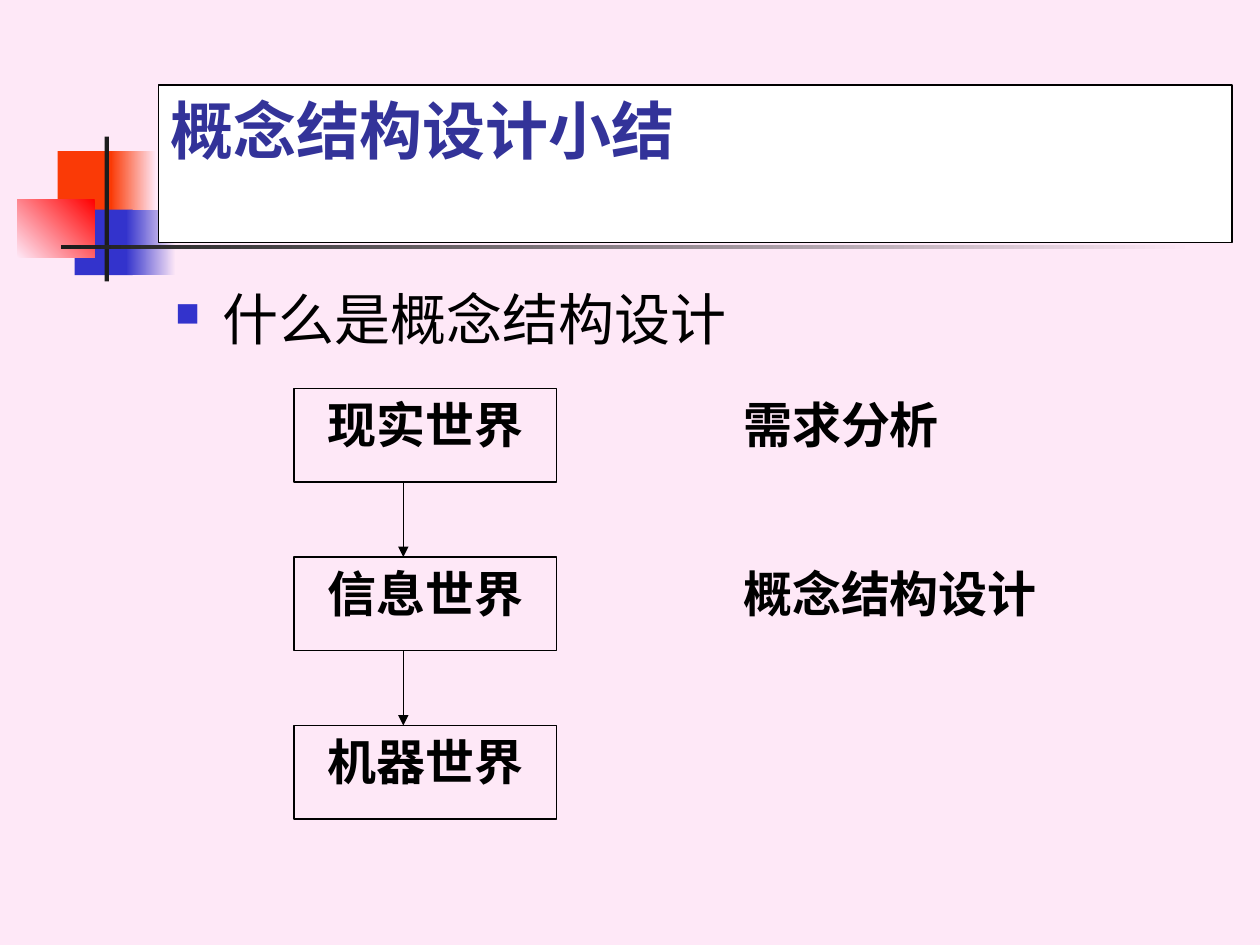
"""Build the slide that sums up conceptual structure design."""
from lxml import etree
from pptx import Presentation
from pptx.dml.color import RGBColor
from pptx.enum.shapes import MSO_CONNECTOR as CONN, MSO_SHAPE as SHAPE
from pptx.enum.text import MSO_ANCHOR as ANCHOR, PP_ALIGN as ALIGN
from pptx.oxml.ns import qn
from pptx.util import Pt

PINK = RGBColor(0xFE, 0xE8, 0xF7)
ORANGE = RGBColor(0xFA, 0x3A, 0x06)
BLUE = RGBColor(0x33, 0x33, 0xCC)
RED = RGBColor(0xFF, 0x00, 0x00)
DARK = RGBColor(0x1C, 0x1C, 0x1C)
NAVY = RGBColor(0x33, 0x33, 0x99)
BLACK = RGBColor(0x00, 0x00, 0x00)
WHITE = RGBColor(0xFF, 0xFF, 0xFF)

TITLE = {"name": "Roboto", "size": Pt(36), "bold": True}
BODY = {"name": "Roboto", "size": Pt(32), "bold": False}
LABEL = {"name": "Times New Roman", "size": Pt(28), "bold": True}

prs = Presentation()
prs.slide_width, prs.slide_height = Pt(720), Pt(540)
s = prs.slides.add_slide(prs.slide_layouts[6])
s.background.fill.solid()
s.background.fill.fore_color.rgb = PINK


def add_rect(x, y, w, h, fill=None, line=None):
    sp = s.shapes.add_shape(SHAPE.RECTANGLE, Pt(x), Pt(y), Pt(w), Pt(h))
    sp.shadow.inherit = False
    if fill is None:
        sp.fill.background()
    else:
        sp.fill.solid()
        sp.fill.fore_color.rgb = fill
    if line is None:
        sp.line.fill.background()
    else:
        sp.line.color.rgb = line
        sp.line.width = Pt(0.75)
    return sp


def add_text(sp, text, fmt, color, align):
    tf = sp.text_frame
    tf.word_wrap = True
    tf.vertical_anchor = ANCHOR.TOP
    p = tf.paragraphs[0]
    p.alignment = align
    r = p.add_run()
    r.text = text
    for key, value in fmt.items():
        setattr(r.font, key, value)
    r.font.color.rgb = color
    return p


for x, y, w, h, start, end, angle in [
    (33, 86.4, 34.6, 37.4, ORANGE, ORANGE, None),
    (63.2, 86.4, 26, 37.4, PINK, ORANGE, 180),
    (42.6, 119.8, 33.2, 37.4, BLUE, BLUE, None),
    (72, 119.8, 28.5, 37.4, PINK, BLUE, 180),
    (9.8, 113.8, 44.4, 33.5, RED, PINK, 225),
    (59.8, 78, 2.5, 82.8, DARK, DARK, None),
    (34.8, 140.1, 648, 2.5, PINK, DARK, 180),
]:
    sp = add_rect(x, y, w, h, start)
    if angle is not None:
        sp.fill.gradient()
        sp.fill.gradient_angle = angle
        for stop, color in zip(sp.fill.gradient_stops, (start, end)):
            stop.color.rgb = color

title = add_rect(90.5, 48.5, 613.5, 90, WHITE, BLACK)
add_text(title, "概念结构设计小结", TITLE, NAVY, ALIGN.LEFT)

body = s.shapes.add_textbox(Pt(93), Pt(159), Pt(612), Pt(324))
p = add_text(body, "什么是概念结构设计", BODY, BLACK, ALIGN.LEFT)
p.space_before = Pt(8)
pPr = p._p.get_or_add_pPr()
pPr.set("marL", str(Pt(27)))
pPr.set("indent", str(-Pt(27)))
color = etree.SubElement(pPr, qn("a:buClr"))
etree.SubElement(color, qn("a:srgbClr"), val=str(BLUE))
etree.SubElement(pPr, qn("a:buSzPct"), val="60000")
etree.SubElement(pPr, qn("a:buChar"), char="■")

TOP, STEP, BOX_H = 222, 96.3, 53.5
for i, world in enumerate(["现实世界", "信息世界", "机器世界"]):
    y = TOP + i * STEP
    add_text(add_rect(168, y, 150, BOX_H, line=BLACK), world, LABEL, BLACK, ALIGN.CENTER)
    if i:
        arrow = s.shapes.add_connector(
            CONN.STRAIGHT, Pt(230.5), Pt(y - STEP + BOX_H), Pt(230.5), Pt(y))
        arrow.line.color.rgb = BLACK
        arrow.line.width = Pt(0.75)
        etree.SubElement(arrow.line._get_or_add_ln(), qn("a:tailEnd"), type="triangle")
        etree.SubElement(arrow._element.spPr, qn("a:effectLst"))

for i, (phase, width) in enumerate([("需求分析", 137.5), ("概念结构设计", 212.5)]):
    box = s.shapes.add_textbox(Pt(417.6), Pt(TOP + i * STEP), Pt(width), Pt(42.5))
    add_text(box, phase, LABEL, BLACK, ALIGN.JUSTIFY)

prs.save("out.pptx")
